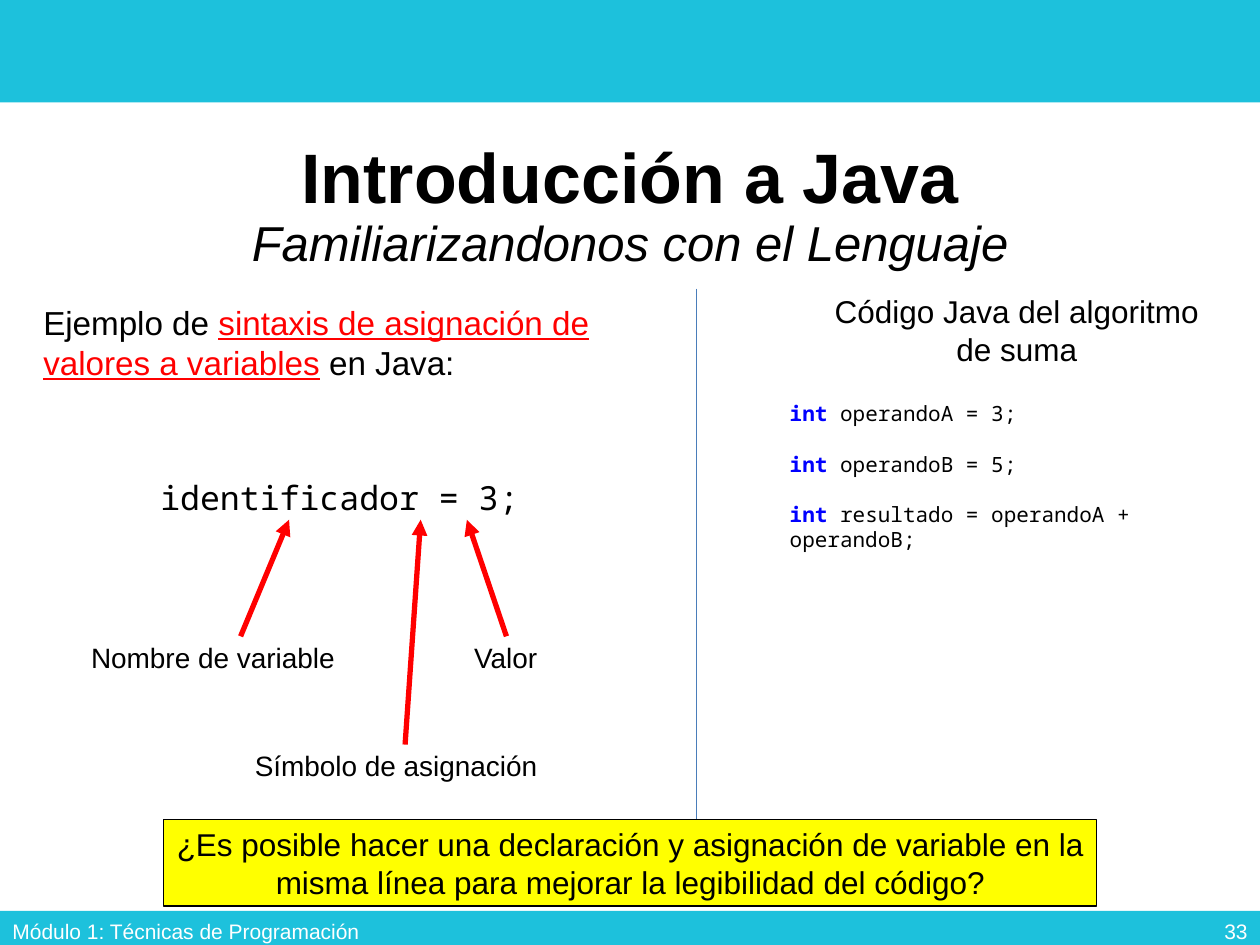
from lxml.etree import SubElement
from pptx import Presentation
from pptx.dml.color import RGBColor
from pptx.enum.shapes import MSO_CONNECTOR, MSO_SHAPE
from pptx.enum.text import MSO_ANCHOR, PP_ALIGN
from pptx.oxml.ns import qn
from pptx.util import Pt

HUES = {"cyan": "1DC1DC", "black": "000000", "white": "FFFFFF", "red": "FF0000",
        "blue": "0000FF", "rule": "4A7DBA", "yellow": "FFFF00"}
SIDES = ("left", "top", "right", "bottom")
SLIM = (4.5, 2.25, 4.5, 2.25)
EVEN = (4.5,) * 4
WIDE = (7.2, 3.6, 7.2, 3.6)
MONO = "Noto Sans Mono"
MID = PP_ALIGN.CENTER


def tint(name):
    return RGBColor.from_string(HUES[name])


class Pen:
    def __init__(self, slide, font="Arial"):
        self.slide = slide
        self.font = font

    def fill(self, frame, paras, size, pad, base=None, anchor=MSO_ANCHOR.TOP, **form):
        """Fill a frame; each paragraph is a list of (text, format) runs, "\\n" breaks a line."""
        frame.word_wrap = True
        frame.vertical_anchor = anchor
        for side, gap in zip(SIDES, pad):
            setattr(frame, f"margin_{side}", Pt(gap))
        for i, runs in enumerate(paras):
            para = frame.paragraphs[0] if i == 0 else frame.add_paragraph()
            for key, value in form.items():
                if i or key != "space_before":
                    setattr(para, key, value)
            for text, extra in runs:
                if text == "\n":
                    para.add_line_break()
                    continue
                run = para.add_run()
                run.text = text
                look = {"name": self.font, "size": size, "color": "black",
                        **(base or {}), **extra}
                run.font.color.rgb = tint(look.pop("color"))
                look["size"] = Pt(look["size"])
                for key, value in look.items():
                    setattr(run.font, key, value)

    def text(self, box, paras, size, pad=SLIM, **form):
        shape = self.slide.shapes.add_textbox(*map(Pt, box))
        self.fill(shape.text_frame, paras, size, pad, **form)

    def rect(self, box, hue, edge=None):
        shape = self.slide.shapes.add_shape(MSO_SHAPE.RECTANGLE, *map(Pt, box))
        shape.shadow.inherit = False
        shape.fill.solid()
        shape.fill.fore_color.rgb = tint(hue)
        if edge:
            shape.line.color.rgb = tint(edge)
            shape.line.width = Pt(0.75)
        else:
            shape.line.fill.background()
        return shape

    def line(self, start, end, hue, width, head=False):
        link = self.slide.shapes.add_connector(
            MSO_CONNECTOR.STRAIGHT, *map(Pt, (*start, *end)))
        link.line.color.rgb = tint(hue)
        link.line.width = Pt(width)
        props = link._element.spPr
        if head:
            SubElement(props.find(qn("a:ln")), qn("a:tailEnd"), type="triangle")
        SubElement(props, qn("a:effectLst"))


def main():
    deck = Presentation()
    deck.slide_width, deck.slide_height = Pt(720), Pt(540)
    pen = Pen(deck.slides.add_slide(deck.slide_layouts[6]))

    pen.rect((0, 0, 720, 58.5), "cyan")
    pen.rect((0, 520.5, 720, 19.5), "cyan")
    pen.text((49.7, 70.6, 620.6, 95.8),
             [[("Introducción a Java", {"size": 40, "bold": True}), ("\n", {}),
               ("Familiarizandonos con el Lenguaje", {"italic": True})]],
             28, WIDE, anchor=MSO_ANCHOR.MIDDLE, alignment=MID, line_spacing=0.9)
    for left, width, note, side in (
            (0, 243.4, "Módulo 1: Técnicas de Programación", PP_ALIGN.LEFT),
            (558, 162, "33", PP_ALIGN.RIGHT)):
        pen.text((left, 517.7, width, 28.8), [[(note, {})]], 12, WIDE,
                 base={"color": "white"}, anchor=MSO_ANCHOR.MIDDLE, alignment=side)

    pen.text((465.8, 164.9, 230.4, 58.3),
             [[("Código Java del algoritmo", {})], [("de suma", {})]], 18, alignment=MID)
    pen.line((398.2, 164.9), (398.2, 517.7), "rule", 0.75)
    code = ("operandoA = 3;", "operandoB = 5;", "resultado = operandoA + operandoB;")
    pen.text((444.2, 225.4, 273.6, 79.9),
             [[("int ", {"color": "blue", "bold": True}), (rest, {})] for rest in code],
             12, WIDE, base={"name": MONO}, space_before=Pt(14.4))

    pen.text((20.2, 170.6, 354.2, 54),
             [[("Ejemplo de ", {}),
               ("sintaxis de asignación de valores a variables",
                {"color": "red", "underline": True}),
               (" en Java:", {})]], 19)
    pen.text((87.1, 270.7, 244.1, 42.5), [[("identificador = 3;", {})]], 19,
             base={"name": MONO})
    for label, left, top, width, foot, tip in (
            ("Nombre de variable", 47.5, 363.6, 164.9, 137.5, 165.2),
            ("Valor", 266.4, 363.6, 54, 289.4, 266.8),
            ("Símbolo de asignación", 141.1, 425.5, 172.1, 231.5, 240.4)):
        pen.line((foot, top), (tip, 297), "red", 3, head=True)
        pen.text((left, top, width, 36), [[(label, {})]], 16)

    ask = pen.rect((93.6, 468.3, 533.2, 49.4), "yellow", "black")
    pen.fill(ask.text_frame,
             [[("¿Es posible hacer una declaración y asignación de variable en la misma "
                "línea para mejorar la legibilidad del código?", {})]],
             18, EVEN, anchor=MSO_ANCHOR.MIDDLE, alignment=MID)
    deck.save("out.pptx")


if __name__ == "__main__":
    main()
